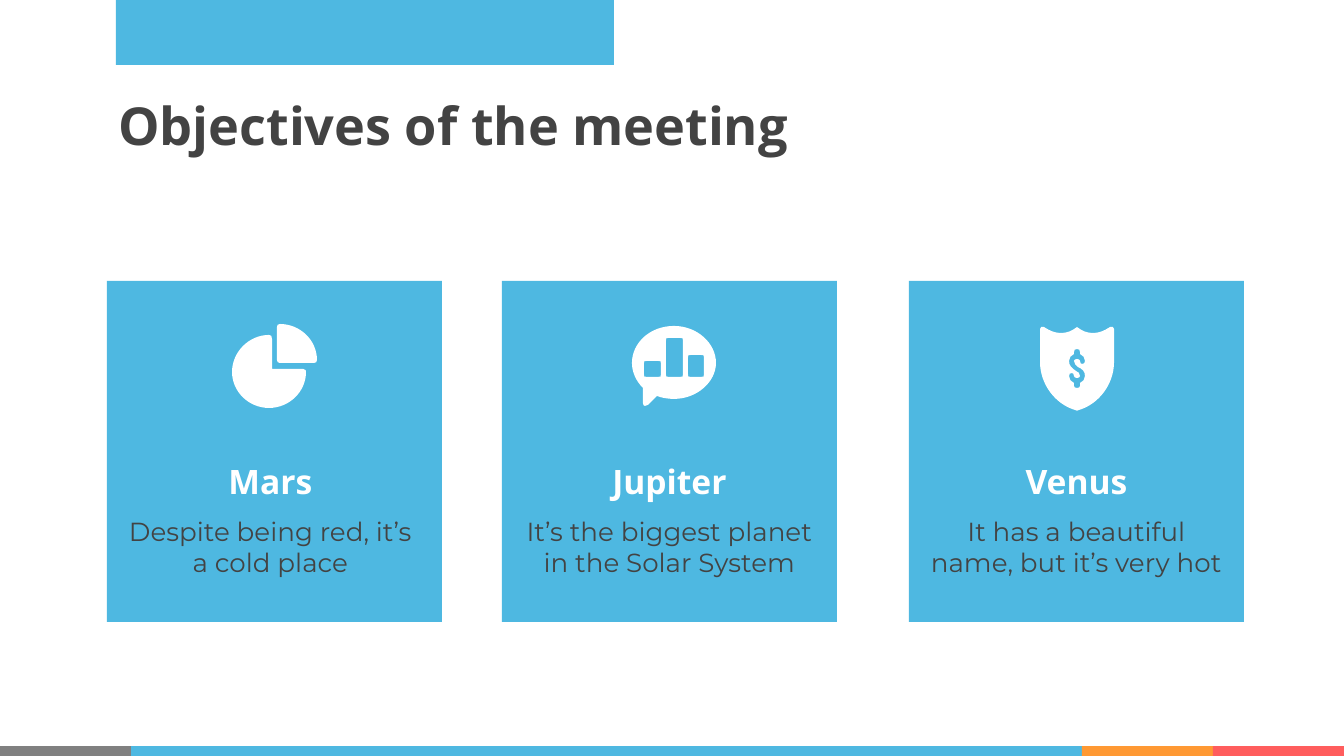
from lxml.etree import SubElement
from pptx import Presentation
from pptx.dml.color import RGBColor
from pptx.enum.shapes import MSO_SHAPE
from pptx.enum.text import MSO_ANCHOR, PP_ALIGN
from pptx.oxml.ns import qn
from pptx.util import Pt

PX = 914400 / 134.4
BLUE = RGBColor(0x4E, 0xB8, 0xE1)
GRAY = RGBColor(0x80, 0x80, 0x80)
ORANGE = RGBColor(0xFF, 0x99, 0x33)
RED = RGBColor(0xFF, 0x5D, 0x5D)
WHITE = RGBColor(0xFF, 0xFF, 0xFF)
DARK = RGBColor(0x43, 0x43, 0x43)

PIE = [(162, 54), (142, 54, 125, 71, 125, 91), (125, 111, 142, 127, 162, 127),
       (182, 127, 199, 111, 199, 91), (199, 90, 199, 88, 196, 88),
       (165, 88), (165, 58), (165, 55, 164, 54, 162, 54)]
SLICE = [(173, 43), (171, 43, 170, 44, 170, 46), (170, 79),
         (170, 81, 171, 82, 173, 82), (207, 82),
         (209, 82, 210, 81, 210, 79), (210, 59, 193, 43, 173, 43)]
BUBBLE = [(172, 45), (148, 45, 130, 62, 130, 82), (130, 91, 134, 100, 141, 107),
          (141, 122), (141, 124, 142, 125, 143, 125),
          (144, 125, 145, 125, 146, 124), (155, 115),
          (160, 117, 166, 118, 172, 118), (195, 118, 214, 101, 214, 82),
          (214, 62, 195, 45, 172, 45)]
SHIELD = [(168, 46), (163, 50, 158, 52, 152, 52), (146, 52, 141, 50, 135, 46),
          (133, 45, 131, 46, 131, 48), (131, 81),
          (131, 103, 146, 123, 166, 129), (167, 130, 169, 130, 170, 129),
          (190, 123, 205, 103, 205, 81), (205, 48),
          (205, 46, 203, 45, 201, 46), (195, 50, 190, 52, 184, 52),
          (178, 52, 173, 50, 168, 46)]
DOLLAR = [(168, 68), (170, 68, 171, 69, 171, 71), (171, 73),
          (174, 74, 176, 77, 176, 80), (176, 82, 175, 83, 173, 83),
          (172, 83, 171, 82, 171, 80), (171, 79, 170, 78, 168, 78),
          (166, 78, 165, 79, 165, 80), (165, 83, 167, 84, 169, 86),
          (173, 88, 176, 90, 176, 95), (176, 98, 174, 101, 171, 102),
          (171, 105), (171, 106, 170, 107, 168, 107),
          (166, 107, 165, 106, 165, 105), (165, 102),
          (162, 101, 160, 98, 160, 95), (160, 93, 161, 92, 163, 92),
          (164, 92, 165, 93, 165, 95), (165, 96, 166, 97, 168, 97),
          (170, 97, 171, 96, 171, 95), (171, 92, 169, 91, 167, 90),
          (163, 87, 160, 85, 160, 80), (160, 77, 162, 74, 165, 73),
          (165, 71), (165, 69, 166, 68, 168, 68)]


def emu(*vals):
    """Turn px lengths into EMU."""
    return [round(val * PX) for val in vals]


def paint(shape, color):
    """Give a shape a flat fill without line or shadow."""
    shape.shadow.inherit = False
    shape.fill.solid()
    shape.fill.fore_color.rgb = color
    shape.line.fill.background()


def block(slide, box, color):
    """Add a filled rectangle."""
    paint(slide.shapes.add_shape(MSO_SHAPE.RECTANGLE, *emu(*box)), color)


def write(slide, box, text, *, size, font, color, bold=False,
          align=PP_ALIGN.LEFT, anchor=MSO_ANCHOR.TOP, lead=None, after=0):
    """Add one formatted paragraph in a text box."""
    frame = slide.shapes.add_textbox(*emu(*box)).text_frame
    frame.word_wrap = True
    frame.vertical_anchor = anchor
    frame.margin_left = frame.margin_right = Pt(7.2)
    frame.margin_top = frame.margin_bottom = Pt(7.2)
    para = frame.paragraphs[0]
    para.alignment = align
    para.line_spacing = lead
    para.space_after = Pt(after)
    run = para.add_run()
    run.text = text
    run.font.name = font
    run.font.size = Pt(size)
    run.font.bold = bold
    run.font.color.rgb = color


def bar(x, y, w, h, r=3):
    """Return the loop of a round-cornered bar."""
    right, base = x + w, y + h
    return [(x + r, y), (right - r, y), (right, y, right, y, right, y + r),
            (right, base - r), (right, base, right, base, right - r, base),
            (x + r, base), (x, base, x, base, x, base - r),
            (x, y + r), (x, y, x, y, x + r, y)]


def bend(shape, loops):
    """Turn the straight parts that have handles into cubic curves."""
    left = min(part[-2] for loop in loops for part in loop)
    top = min(part[-1] for loop in loops for part in loop)
    lines = list(shape.element.iter(qn("a:lnTo")))
    parts = [part for loop in loops for part in loop[1:]]
    for line, part in zip(lines, parts):
        if len(part) == 2:
            continue
        line.tag = qn("a:cubicBezTo")
        line.clear()
        for x, y in zip(part[::2], part[1::2]):
            across, down = emu(x - left, y - top)
            SubElement(line, qn("a:pt"), x=str(across), y=str(down))


def icon(shapes, left, top, loops):
    """Add one white outline; inner loops become holes."""
    paths = [[emu(*part[-2:]) for part in loop] for loop in loops]
    build = shapes.build_freeform(*paths[0][0], scale=1.0)
    build.add_line_segments(paths[0][1:], close=True)
    for path in paths[1:]:
        build.move_to(*path[0])
        build.add_line_segments(path[1:], close=True)
    shape = build.convert_to_shape(*emu(left, top))
    bend(shape, loops)
    paint(shape, WHITE)


def header(slide, left, top):
    """Add the top band and the title."""
    write(slide, (left - 11, top + 80, 1193, 85), "Objectives of the meeting",
          size=28, font="Open Sans", color=DARK, bold=True)
    block(slide, (left, top, 498, 65), BLUE)


def card(slide, box, name, text, icons, shift):
    """Add a planet card with its icon, name and text."""
    left, top = box[:2]
    block(slide, box, BLUE)
    write(slide, (left + shift, top + 162, 323, 70), name, size=18,
          font="Open Sans", color=WHITE, bold=True, align=PP_ALIGN.CENTER,
          anchor=MSO_ANCHOR.MIDDLE, lead=1.15, after=16)
    write(slide, (left + shift, top + 221, 323, 70), text, size=14,
          font="Montserrat", color=DARK, align=PP_ALIGN.CENTER)
    shapes = slide.shapes
    if len(icons) > 1:
        shapes = shapes.add_group_shape().shapes
    for loops in icons:
        icon(shapes, left, top, loops)


def footer(slide, left, top):
    """Add the strip of colours at the foot."""
    for width, color in ((131, GRAY), (951, BLUE), (131, ORANGE), (131, RED)):
        block(slide, (left, top, width, 10), color)
        left += width


def main():
    """Build and save the slide."""
    deck = Presentation()
    deck.slide_width, deck.slide_height = emu(1344, 756)
    slide = deck.slides.add_slide(deck.slide_layouts[6])
    footer(slide, 0, 746)
    header(slide, 116, 0)
    bars = [bar(142, 80, 17, 16), bar(164, 57, 17, 39), bar(186, 74, 16, 22)]
    cards = (
        (107, "Mars", "Despite being red, it’s a cold place",
         [[PIE], [SLICE]], 2),
        (502, "Jupiter", "It’s the biggest planet in the Solar System",
         [[BUBBLE, *bars]], 6),
        (909, "Venus", "It has a beautiful name, but it’s very hot",
         [[SHIELD, DOLLAR]], 6),
    )
    for left, *parts in cards:
        card(slide, (left, 281, 335, 341), *parts)
    deck.save("out.pptx")


if __name__ == "__main__":
    main()
